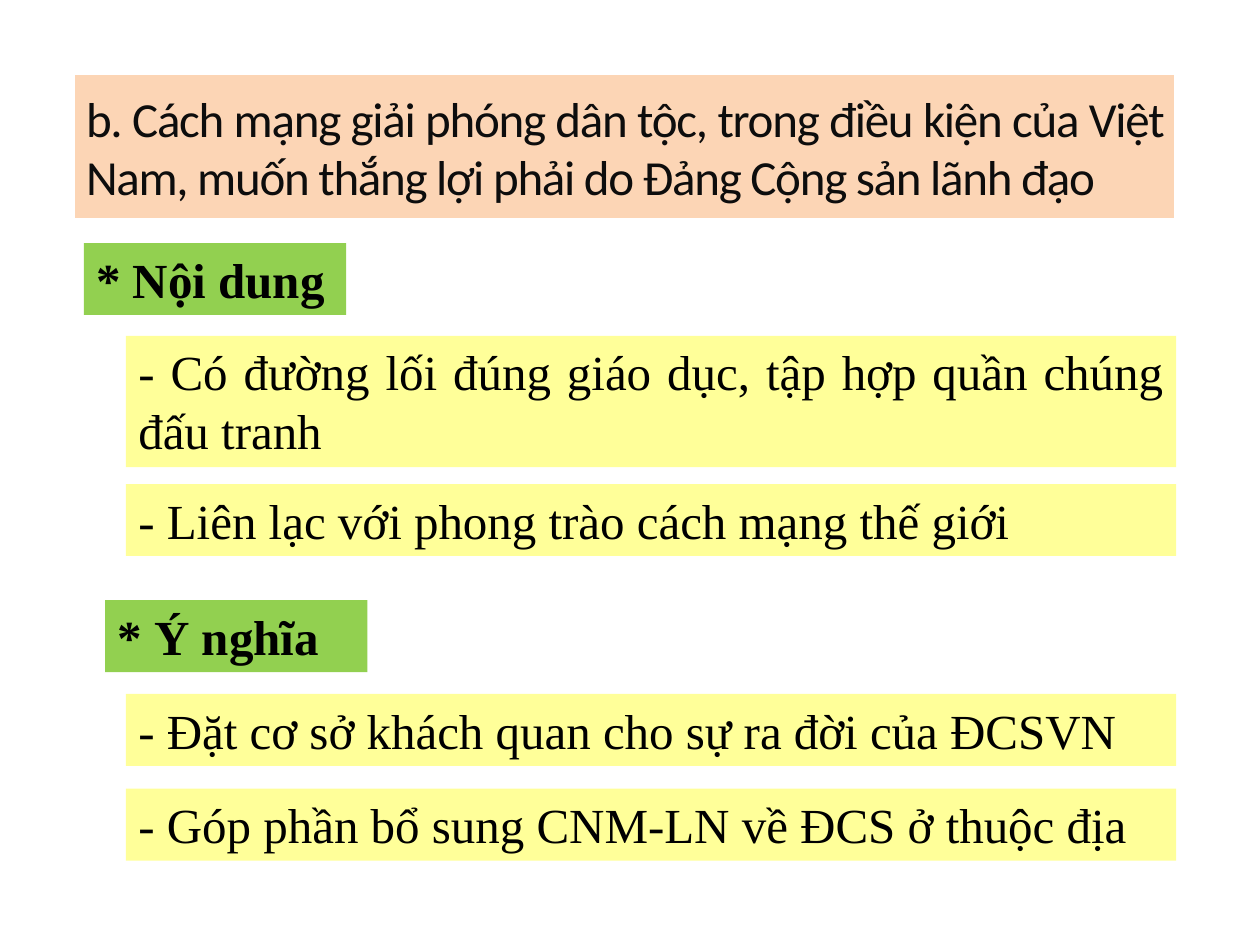
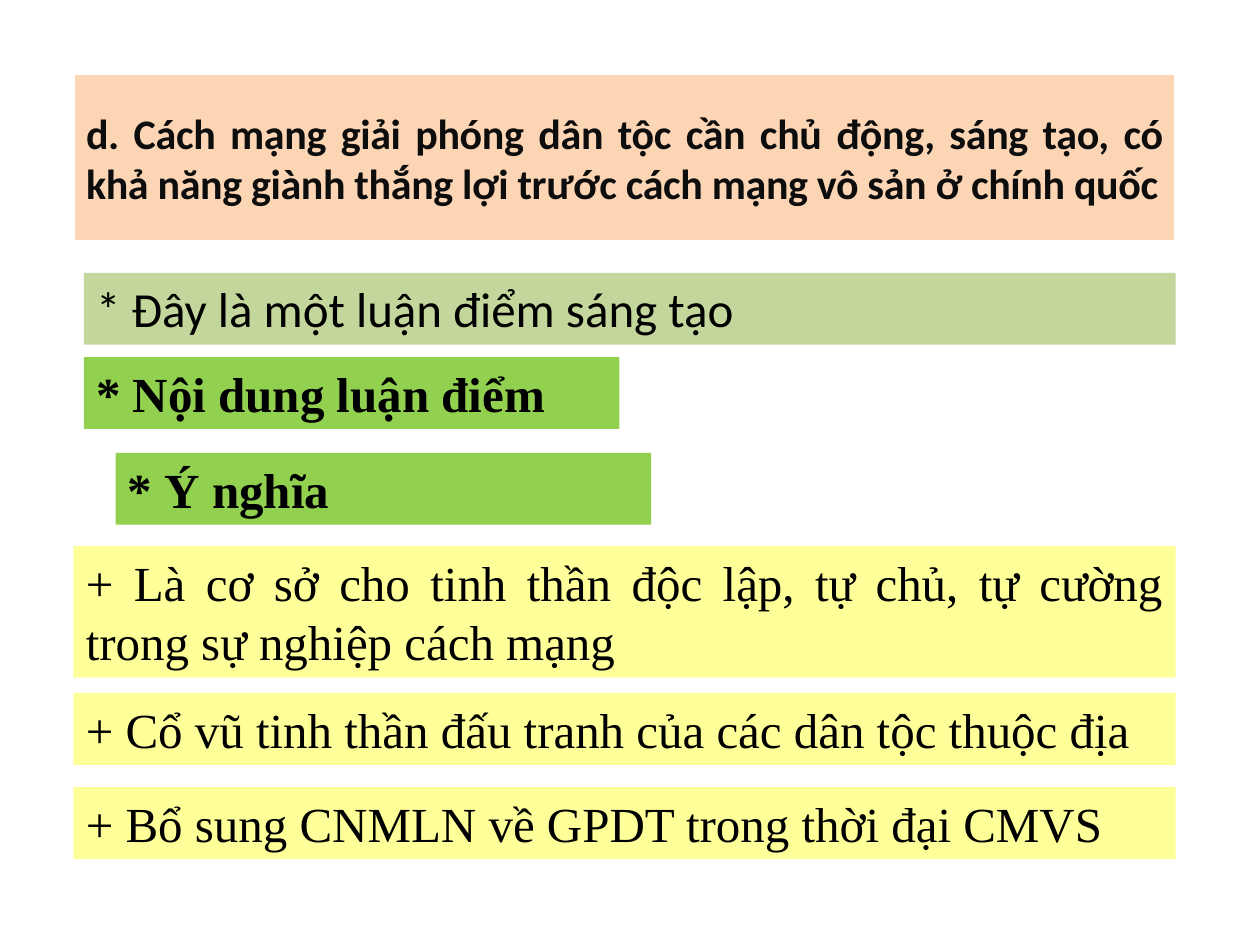
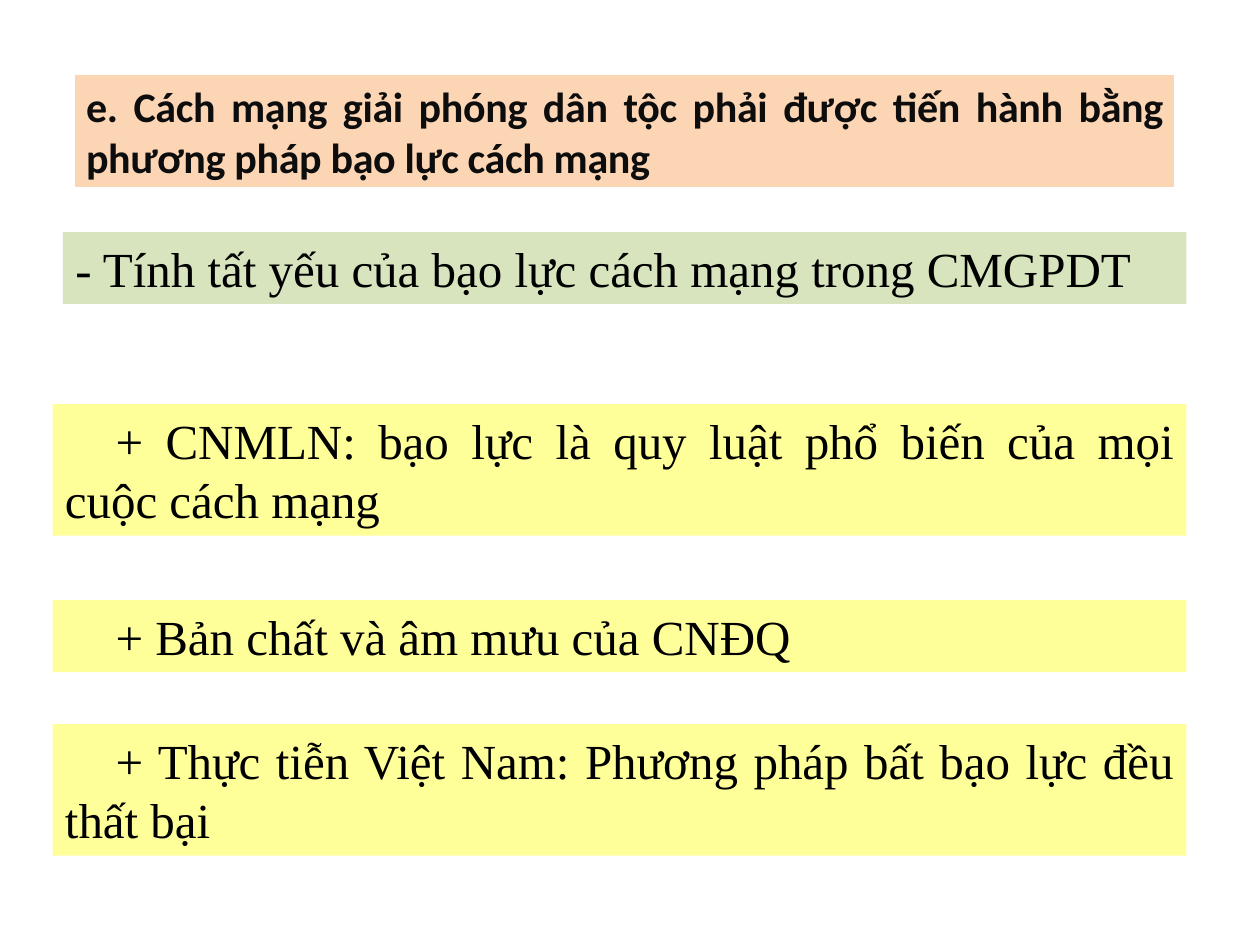
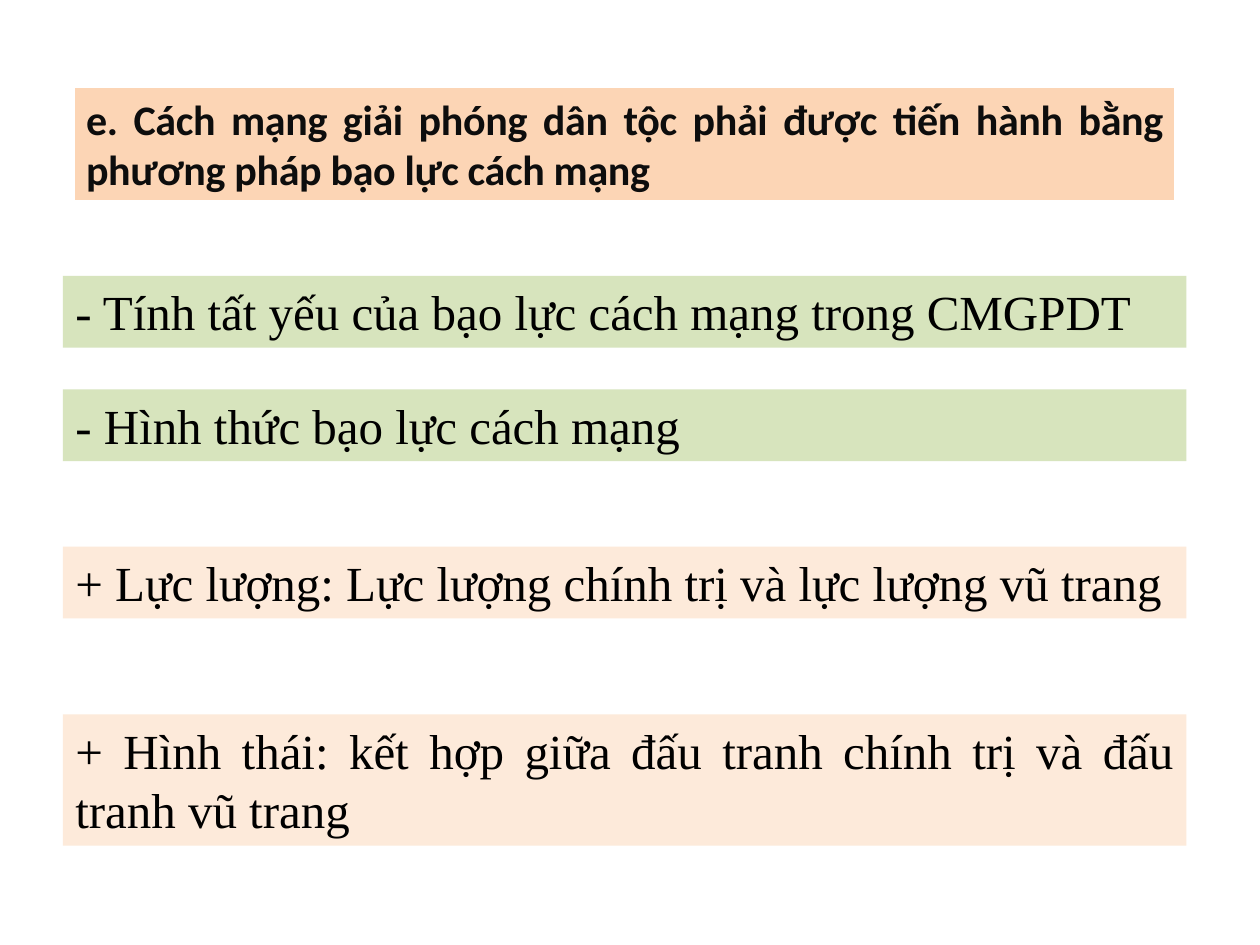
from dataclasses import dataclass

from pptx import Presentation
from pptx.dml.color import RGBColor
from pptx.enum.text import MSO_ANCHOR, MSO_AUTO_SIZE, PP_ALIGN
from pptx.util import Cm, Pt

LEFT = PP_ALIGN.LEFT
JUSTIFY = PP_ALIGN.JUSTIFY
MIDDLE = MSO_ANCHOR.MIDDLE
TOP = MSO_ANCHOR.TOP
NO_FIT = MSO_AUTO_SIZE.NONE
GROW = MSO_AUTO_SIZE.SHAPE_TO_FIT_TEXT

SANS = "Calibri"
SERIF = "Times New Roman"
BLACK = "000000"
TITLE_INK = "0D0D0D"
WHITE = "FFFFFF"
PEACH = "FCD5B5"
LINE_HEIGHT = {1: 1.45, 2: 2.65}
TITLE_LEFT = 1.48
TITLE_WIDTH = 22.22
ONLY_TITLE = 5


@dataclass(frozen=True)
class BandStyle:
    fill: str
    left: float
    width: float
    font: str = SERIF
    bold: bool = False
    align: PP_ALIGN = JUSTIFY
    indent: float = 0


@dataclass(frozen=True)
class Band:
    style: BandStyle
    top: float
    text: str
    lines: int = 1


@dataclass(frozen=True)
class Title:
    text: str
    height: float
    top: float = 1.48
    size: int = 24
    bold: bool = True
    tracking: int = -20


@dataclass(frozen=True)
class Page:
    title: Title
    bands: list[Band]


def heading(left: float, width: float) -> BandStyle:
    return BandStyle("92D050", left, width, bold=True, align=LEFT)


POINT = BandStyle("FFFF99", 2.54, 21.17)
WIDE_POINT = BandStyle("FFFF99", TITLE_LEFT, TITLE_WIDTH)
INDENTED_POINT = BandStyle("FFFF99", 1.06, 22.86, indent=1.02)
THESIS = BandStyle("C3D69B", 1.69, 22.01, font=SANS, align=LEFT)
TOPIC = BandStyle("D7E4BD", 1.27, 22.65, align=LEFT)
FORM = BandStyle("FDEADA", 1.27, 22.65)

VIOLENCE_TITLE = (
    "e. Cách mạng giải phóng dân tộc phải được tiến hành bằng "
    "phương pháp bạo lực cách mạng"
)
NECESSITY = "- Tính tất yếu của bạo lực cách mạng trong CMGPDT"

PAGES = [
    Page(
        Title(
            "b. Cách mạng giải phóng dân tộc, trong điều kiện của Việt Nam, "
            "muốn thắng lợi phải do Đảng Cộng sản lãnh đạo",
            2.96, size=28, bold=False, tracking=-70,
        ),
        [
            Band(heading(1.69, 5.29), 4.9, "* Nội dung"),
            Band(POINT, 6.77, "- Có đường lối đúng giáo dục, tập hợp quần chúng đấu tranh", 2),
            Band(POINT, 9.76, "- Liên lạc với phong trào cách mạng thế giới"),
            Band(heading(2.12, 5.29), 12.1, "* Ý nghĩa"),
            Band(POINT, 13.99, "- Đặt cơ sở khách quan cho sự ra đời của ĐCSVN"),
            Band(POINT, 15.9, "- Góp phần bổ sung CNM-LN về ĐCS ở thuộc địa"),
        ],
    ),
    Page(
        Title(
            "d. Cách mạng giải phóng dân tộc cần chủ động, sáng tạo, có khả năng "
            "giành thắng lợi trước cách mạng vô sản ở chính quốc",
            3.39,
        ),
        [
            Band(THESIS, 5.5, "* Đây là một luận điểm sáng tạo"),
            Band(heading(1.69, 10.8), 7.2, "* Nội dung luận điểm"),
            Band(heading(2.33, 10.8), 9.13, "* Ý nghĩa"),
            Band(
                WIDE_POINT, 11.01,
                "+ Là cơ sở cho tinh thần độc lập, tự chủ, tự cường "
                "trong sự nghiệp cách mạng", 2,
            ),
            Band(WIDE_POINT, 13.97, "+ Cổ vũ tinh thần đấu tranh của các dân tộc thuộc địa"),
            Band(WIDE_POINT, 15.87, "+ Bổ sung CNMLN về GPDT trong thời đại CMVS"),
        ],
    ),
    Page(
        Title(VIOLENCE_TITLE, 2.33),
        [
            Band(TOPIC, 4.68, NECESSITY),
            Band(
                INDENTED_POINT, 8.15,
                "+ CNMLN: bạo lực là quy luật phổ biến của mọi cuộc cách mạng", 2,
            ),
            Band(INDENTED_POINT, 12.1, "+ Bản chất và âm mưu của CNĐQ"),
            Band(
                INDENTED_POINT, 14.6,
                "+ Thực tiễn Việt Nam: Phương pháp bất bạo lực đều thất bại", 2,
            ),
        ],
    ),
    Page(
        Title(VIOLENCE_TITLE, 2.33, top=1.73),
        [
            Band(TOPIC, 5.56, NECESSITY),
            Band(TOPIC, 7.85, "- Hình thức bạo lực cách mạng"),
            Band(FORM, 11.02, "+ Lực lượng: Lực lượng chính trị và lực lượng vũ trang"),
            Band(
                FORM, 14.4,
                "+ Hình thái: kết hợp giữa đấu tranh chính trị và đấu tranh vũ trang", 2,
            ),
        ],
    ),
]


def rgb(value: str) -> RGBColor:
    return RGBColor.from_string(value)


def paint(shape, fill: str) -> None:
    shape.fill.solid()
    shape.fill.fore_color.rgb = rgb(fill)


def write(shape, text: str, font: str, size: int, color: str, bold: bool,
          align: PP_ALIGN, anchor: MSO_ANCHOR, fit: MSO_AUTO_SIZE):
    frame = shape.text_frame
    frame.word_wrap = True
    frame.auto_size = fit
    frame.vertical_anchor = anchor
    para = frame.paragraphs[0]
    para.text = text
    para.alignment = align
    para.font.name = font
    para.font.size = Pt(size)
    para.font.bold = bold
    para.font.color.rgb = rgb(color)
    return para


def draw_title(slide, title: Title) -> None:
    shape = slide.shapes.title
    shape.left, shape.top = Cm(TITLE_LEFT), Cm(title.top)
    shape.width, shape.height = Cm(TITLE_WIDTH), Cm(title.height)
    paint(shape, PEACH)
    shape.line.color.rgb = rgb(WHITE)
    shape.line.width = Pt(2)
    para = write(shape, title.text, SANS, title.size, TITLE_INK, title.bold,
                 JUSTIFY, MIDDLE, NO_FIT)
    for span in para.runs:
        span._r.get_or_add_rPr().set("spc", str(title.tracking))


def draw_band(slide, band: Band) -> None:
    style = band.style
    box = slide.shapes.add_textbox(
        Cm(style.left), Cm(band.top), Cm(style.width), Cm(LINE_HEIGHT[band.lines])
    )
    paint(box, style.fill)
    para = write(box, band.text, style.font, 28, BLACK, style.bold,
                 style.align, TOP, GROW)
    if style.indent:
        para._p.get_or_add_pPr().set("indent", str(Cm(style.indent)))


def main() -> None:
    deck = Presentation()
    deck.slide_width, deck.slide_height = Cm(25.4), Cm(19.05)
    for page in PAGES:
        slide = deck.slides.add_slide(deck.slide_layouts[ONLY_TITLE])
        draw_title(slide, page.title)
        for band in page.bands:
            draw_band(slide, band)
    deck.save("out.pptx")


if __name__ == "__main__":
    main()
